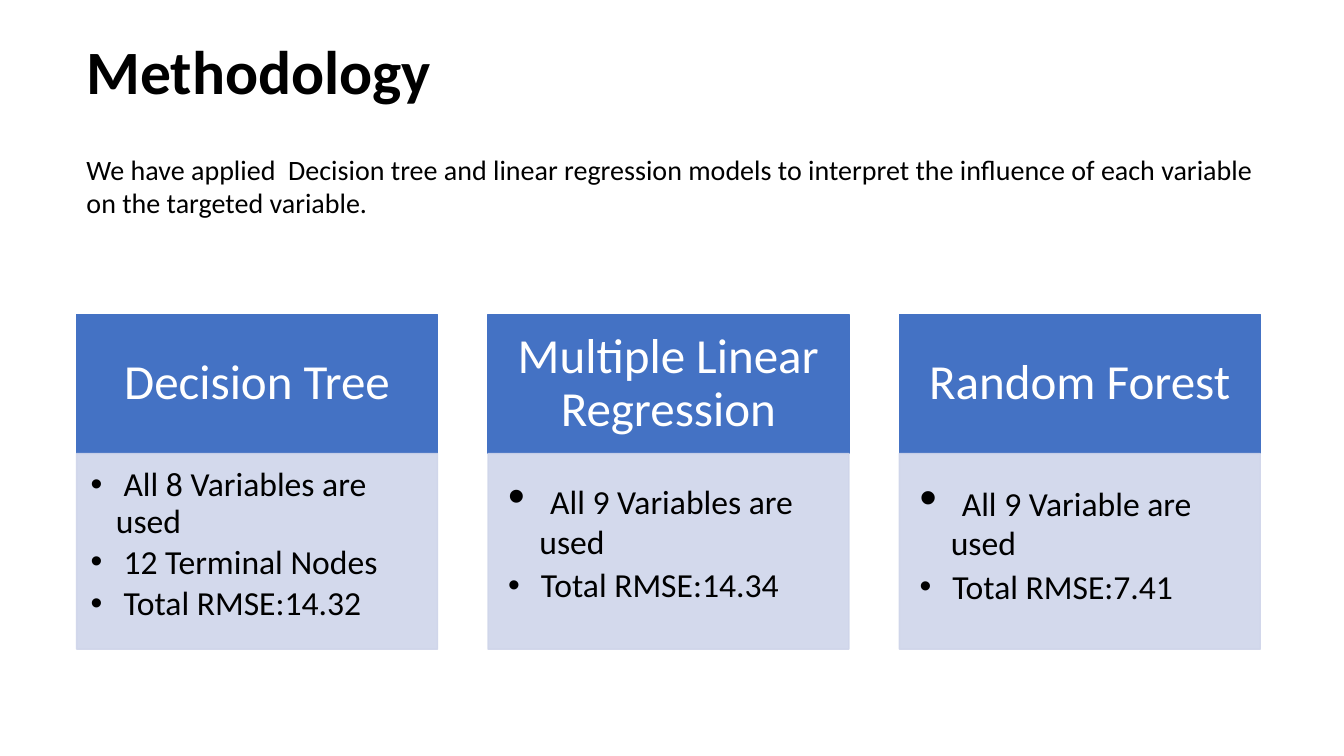
from lxml import etree
from pptx import Presentation
from pptx.dml.color import RGBColor
from pptx.enum.shapes import MSO_SHAPE as Shape
from pptx.enum.text import MSO_ANCHOR as Anchor, PP_ALIGN as Align
from pptx.oxml.ns import qn
from pptx.util import Inches, Pt

BLACK = RGBColor(0x00, 0x00, 0x00)
WHITE = RGBColor(0xFF, 0xFF, 0xFF)
BLUE = RGBColor(0x44, 0x72, 0xC4)
PALE_BLUE = RGBColor(0xCF, 0xD5, 0xEA)
NBSP = "\u00a0"

LEFT, CARD_WIDTH, CARD_STEP = 0.76, 3.58, 4.08
HEAD_TOP, HEAD_HEIGHT, BODY_HEIGHT = 3.12, 1.38, 1.94

prs = Presentation()
prs.slide_width, prs.slide_height = Inches(13.33), Inches(7.5)
slide = prs.slides.add_slide(prs.slide_layouts[6])


def add_run(paragraph, text, size, color=BLACK, bold=False):
    run = paragraph.add_run()
    run.text = text
    run.font.name = "Calibri"
    run.font.size = Pt(size)
    run.font.bold = bold
    run.font.color.rgb = color


def add_panel(left, top, height, color, margins, anchor):
    panel = slide.shapes.add_shape(
        Shape.RECTANGLE, Inches(left), Inches(top), Inches(CARD_WIDTH), Inches(height))
    panel.shadow.inherit = False
    panel.fill.solid()
    panel.fill.fore_color.rgb = color
    panel.line.color.rgb = color
    panel.line.width = Pt(1)
    frame = panel.text_frame
    frame.word_wrap = True
    frame.vertical_anchor = anchor
    frame.margin_left, frame.margin_top, frame.margin_right, frame.margin_bottom = map(Inches, margins)
    return panel


for text, top, width, height, size, bold in [
    ("Methodology", 0.28, 3.83, 0.84, 44, True),
    (f"We have applied{NBSP}{NBSP}Decision tree and linear regression{NBSP}models to interpret "
     f"the influence of each variable on the{NBSP}targeted variable.", 1.46, 11.8, 0.77, 20, False),
]:
    box = slide.shapes.add_textbox(Inches(LEFT), Inches(top), Inches(width), Inches(height))
    box.text_frame.word_wrap = True
    add_run(box.text_frame.paragraphs[0], text, size, bold=bold)

models = [
    ("Decision Tree", (0.14, 0.14, 0.19, 0.21), 24,
     ["All 8 Variables are used", "12 Terminal Nodes", "Total RMSE:14.32"]),
    ("Multiple Linear Regression", (0.2, 0.2, 0.26, 0.3), 34,
     ["All 9 Variables are used", "Total RMSE:14.34"]),
    ("Random Forest", (0.2, 0.2, 0.27, 0.31), 35,
     ["All 9 Variable are used", "Total RMSE:7.41"]),
]

for column, (model, margins, lead_size, facts) in enumerate(models):
    left = LEFT + column * CARD_STEP
    head = add_panel(left, HEAD_TOP, HEAD_HEIGHT, BLUE, (0.27, 0.16, 0.27, 0.16), Anchor.MIDDLE)
    title = head.text_frame.paragraphs[0]
    title.alignment = Align.CENTER
    title.line_spacing = 0.9
    add_run(title, model, 35, WHITE)

    body = add_panel(left, HEAD_TOP + HEAD_HEIGHT, BODY_HEIGHT, PALE_BLUE, margins, Anchor.TOP)
    for color in body.fill._xPr.iter(qn("a:srgbClr")):
        etree.SubElement(color, qn("a:alpha"), val="90000")
    for row, fact in enumerate(facts):
        item = body.text_frame.paragraphs[0] if row == 0 else body.text_frame.add_paragraph()
        gap_size = lead_size if row == 0 else 24
        item.alignment = Align.LEFT
        item.line_spacing = 0.9
        item.space_after = Pt(round(gap_size * 0.15, 1))
        indent = Inches(0.31 if gap_size > 24 else 0.25)
        props = item._p.get_or_add_pPr()
        props.set("marL", str(indent))
        props.set("indent", str(-indent))
        etree.SubElement(props, qn("a:buFont"), typeface="Arial")
        etree.SubElement(props, qn("a:buChar"), char="•")
        add_run(item, NBSP, gap_size)
        add_run(item, fact, 24)

prs.save("out.pptx")
